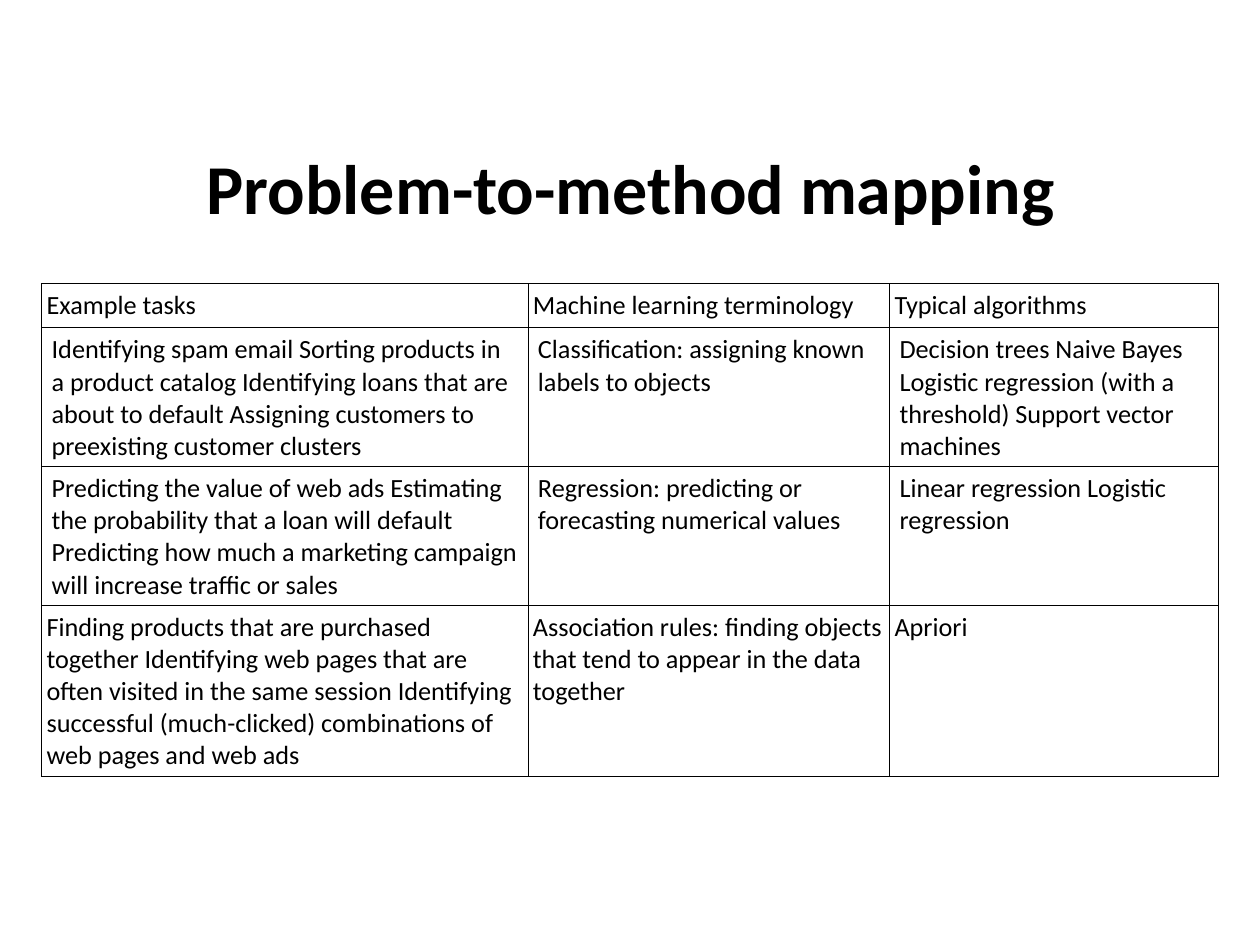
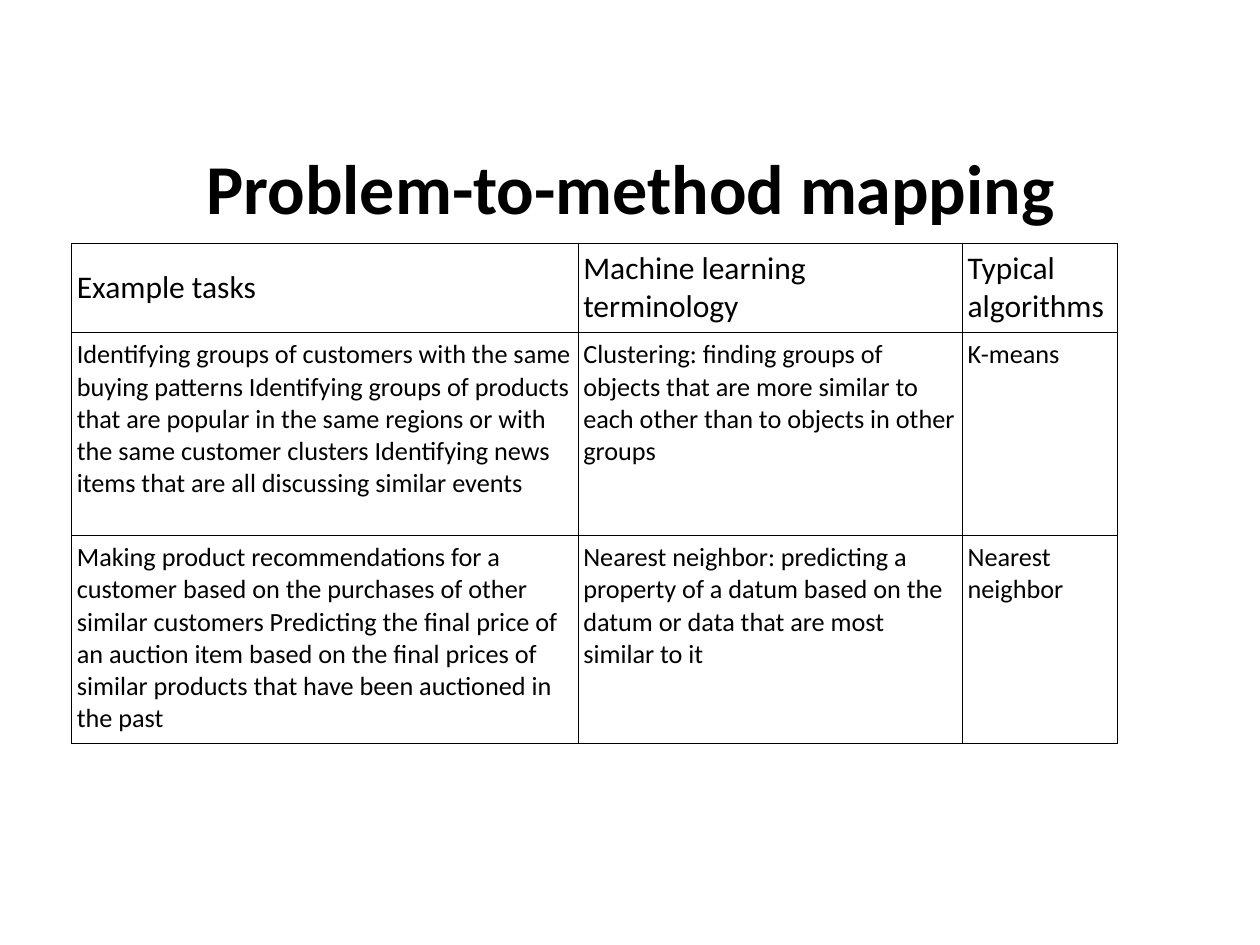
"""Build two slides that map example tasks to machine learning methods."""
from lxml.etree import SubElement
from pptx import Presentation
from pptx.dml.color import RGBColor as Color
from pptx.enum.text import MSO_ANCHOR as Anchor, PP_ALIGN as Align
from pptx.oxml.ns import qn
from pptx.util import Inches, Pt

COLORS = {"text": "000000", "border": "000000", "background": "FFFFFF"}
FONT = "Calibri"
TITLE = "Problem-to-method mapping"
HEADINGS = ["Example tasks", "Machine learning terminology", "Typical algorithms"]
BODY_SIZE = 15
NARROW, WIDE = 0.04, 0.08

TABLES = [
    {
        "left": 0.33, "top": 2.25, "heading_size": 15,
        "widths": [3.86, 2.87, 2.61],
        "heights": [0.34, 1.1, 1.1, 1.36],
        "margins": [NARROW, WIDE, WIDE, NARROW],
        "body": [
            ["Identifying spam email Sorting products in a product catalog Identifying loans "
             "that are about to default Assigning customers to preexisting customer clusters",
             "Classification: assigning known labels to objects",
             "Decision trees Naive Bayes Logistic regression (with a threshold) "
             "Support vector machines"],
            ["Predicting the value of web ads Estimating the probability that a loan will "
             "default Predicting how much a marketing campaign will increase traffic or sales",
             "Regression: predicting or forecasting numerical values",
             "Linear regression Logistic regression"],
            ["Finding products that are purchased together Identifying web pages that are "
             "often visited in the same session Identifying successful (much-clicked) "
             "combinations of web pages and web ads",
             "Association rules: finding objects that tend to appear in the data together",
             "Apriori"],
        ],
    },
    {
        "left": 0.57, "top": 1.93, "heading_size": 18,
        "widths": [4.02, 3.05, 1.23],
        "heights": [0.71, 1.61, 1.65],
        "margins": [NARROW, NARROW, NARROW],
        "body": [
            ["Identifying groups of customers with the same buying patterns Identifying "
             "groups of products that are popular in the same regions or with the same "
             "customer clusters Identifying news items that are all discussing similar events",
             "Clustering: finding groups of objects that are more similar to each other "
             "than to objects in other groups",
             "K-means"],
            ["Making product recommendations for a customer based on the purchases of other "
             "similar customers Predicting the final price of an auction item based on the "
             "final prices of similar products that have been auctioned in the past",
             "Nearest neighbor: predicting a property of a datum based on the datum or data "
             "that are most similar to it",
             "Nearest neighbor"],
        ],
    },
]


def add_span(para, text, size, bold=False):
    span = para.add_run()
    span.text = text
    span.font.name = FONT
    span.font.size = Pt(size)
    span.font.bold = bold
    span.font.color.rgb = Color.from_string(COLORS["text"])


def add_borders(cell):
    properties = cell._tc.get_or_add_tcPr()
    for side in ("a:lnL", "a:lnR", "a:lnT", "a:lnB"):
        line = SubElement(properties, qn(side), w=str(Pt(0.45)))
        fill = SubElement(line, qn("a:solidFill"))
        SubElement(fill, qn("a:srgbClr"), val=COLORS["border"])


deck = Presentation()
deck.slide_width, deck.slide_height = Inches(10), Inches(7.5)

for content in TABLES:
    page = deck.slides.add_slide(deck.slide_layouts[6])
    page.background.fill.solid()
    page.background.fill.fore_color.rgb = Color.from_string(COLORS["background"])

    box = page.shapes.add_textbox(Inches(0.69), Inches(1.24), Inches(8.63), Inches(0.48))
    box.text_frame.word_wrap = True
    box.text_frame.vertical_anchor = Anchor.MIDDLE
    para = box.text_frame.paragraphs[0]
    para.alignment = Align.CENTER
    add_span(para, TITLE, 40, bold=True)

    widths, heights = content["widths"], content["heights"]
    table = page.shapes.add_table(
        len(heights), len(widths), Inches(content["left"]), Inches(content["top"]),
        Inches(sum(widths)), Inches(sum(heights))).table
    table.first_row = table.horz_banding = False
    for column, width in zip(table.columns, widths):
        column.width = Inches(width)

    for row_index, texts in enumerate([HEADINGS] + content["body"]):
        is_heading = row_index == 0
        table.rows[row_index].height = Inches(heights[row_index])
        for column_index, text in enumerate(texts):
            cell = table.cell(row_index, column_index)
            cell.margin_left = cell.margin_right = Inches(content["margins"][row_index])
            cell.margin_top = cell.margin_bottom = Inches(0.05)
            cell.vertical_anchor = Anchor.MIDDLE if is_heading else Anchor.TOP
            add_borders(cell)
            cell.fill.background()
            para = cell.text_frame.paragraphs[0]
            para.space_after = Pt(7.9 if is_heading else 0)
            add_span(para, text, content["heading_size"] if is_heading else BODY_SIZE)

deck.save("out.pptx")
